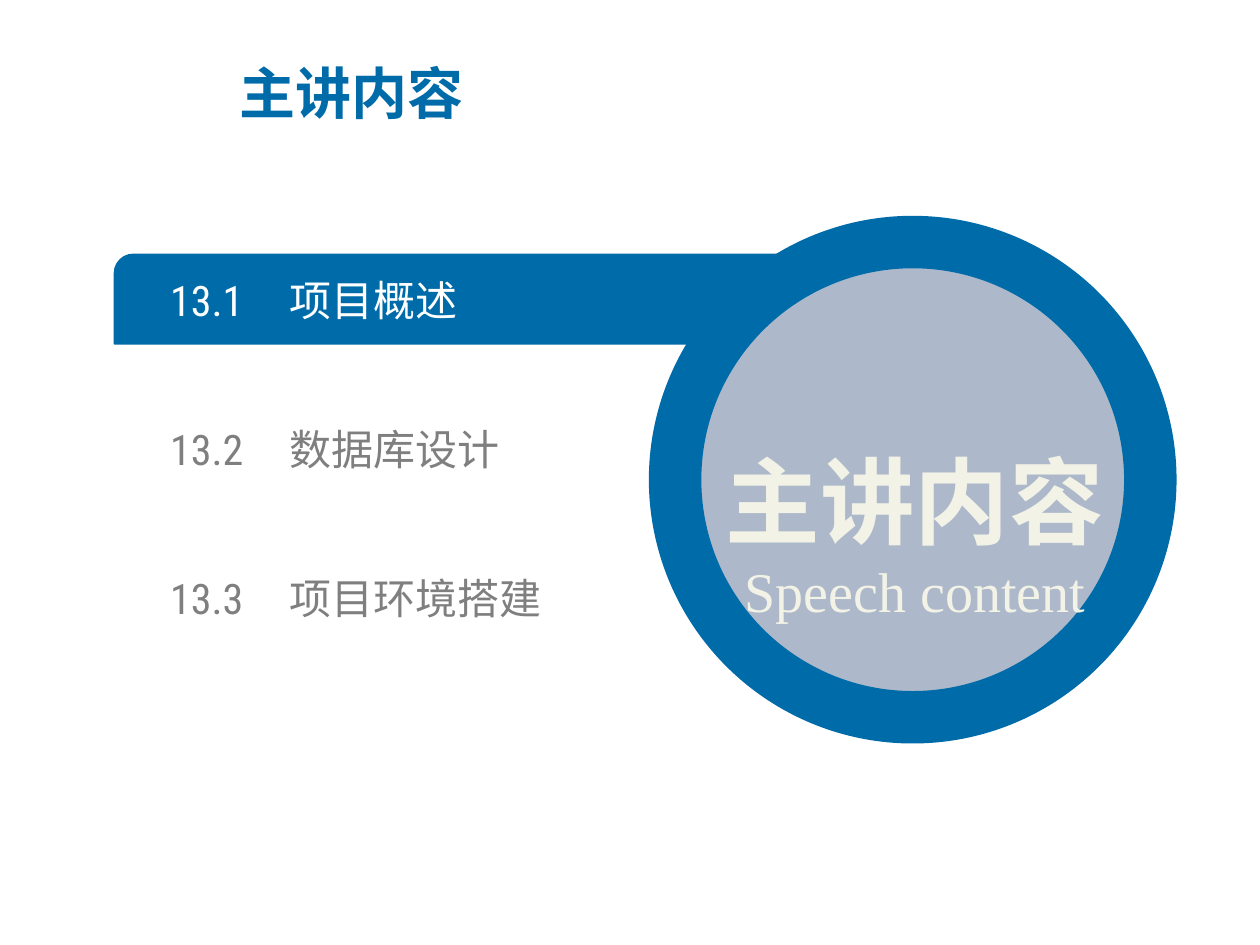
import pptx
import pptx.dml.color
import pptx.enum.shapes
import pptx.enum.text
import pptx.oxml
import pptx.oxml.ns
import pptx.util

Cm = pptx.util.Cm
Pt = pptx.util.Pt
Shapes = pptx.enum.shapes.MSO_SHAPE
Align = pptx.enum.text.PP_ALIGN

theme = {
    "blue": "006BA9",
    "disc": "ADB9CA",
    "cream": "F2F2E6",
    "white": "FFFFFF",
    "grey": "7F7F7F",
    "chinese": "Noto Sans CJK SC",
    "item": "Roboto Condensed",
    "english": "Times New Roman",
    "title_size": 32,
    "item_size": 24,
    "hero_size": 54,
}


def add_text_box(page, left, top, width, height, margin=None):
    box = page.shapes.add_textbox(Cm(left), Cm(top), Cm(width), Cm(height))
    frame = box.text_frame
    settings = {"word_wrap": True, "vertical_anchor": pptx.enum.text.MSO_ANCHOR.MIDDLE}
    if margin is not None:
        for side in ("left", "top", "right", "bottom"):
            settings[f"margin_{side}"] = Cm(margin)
    for name, value in settings.items():
        setattr(frame, name, value)
    return frame


def add_span(para, text, font, size, colour, bold=False):
    span = para.add_run()
    span.text = text
    for name, value in {"name": font, "size": Pt(size), "bold": bold}.items():
        setattr(span.font, name, value)
    span.font.color.rgb = pptx.dml.color.RGBColor.from_string(colour)
    east_asian = pptx.oxml.parse_xml(
        f'<a:ea {pptx.oxml.ns.nsdecls("a")} typeface="{theme["chinese"]}"/>'
    )
    span.font._element.append(east_asian)


deck = pptx.Presentation()
deck.slide_width = Cm(25.4)
deck.slide_height = Cm(19.05)
page = deck.slides.add_slide(deck.slide_layouts[6])

panels = [
    (Shapes.ROUND_2_DIAG_RECTANGLE, 2.31, 5.13, 15.88, 1.8, "blue", 1, (0.21, 0)),
    (Shapes.OVAL, 13.61, 4.88, 9.58, 9.58, "disc", 30, ()),
]
for kind, left, top, width, height, fill, line_width, corners in panels:
    panel = page.shapes.add_shape(kind, Cm(left), Cm(top), Cm(width), Cm(height))
    panel.shadow.inherit = False
    for index, corner in enumerate(corners):
        panel.adjustments[index] = corner
    panel.fill.solid()
    panel.fill.fore_color.rgb = pptx.dml.color.RGBColor.from_string(theme[fill])
    panel.line.color.rgb = pptx.dml.color.RGBColor.from_string(theme["blue"])
    panel.line.width = Pt(line_width)

items = [
    ("13.1", "项目概述", 12.09, "white"),
    ("13.2", "数据库设计", 11.73, "grey"),
    ("13.3", "项目环境搭建", 10.54, "grey"),
]
for row, (number, topic, width, colour) in enumerate(items):
    frame = add_text_box(page, 3.43, 5.54 + row * 3, width, 1.02, margin=0)
    para = frame.paragraphs[0]
    tabs = pptx.oxml.parse_xml(
        f'<a:tabLst {pptx.oxml.ns.nsdecls("a")}>'
        f'<a:tab pos="{Cm(2.4)}" algn="l"/></a:tabLst>'
    )
    para._p.get_or_add_pPr().append(tabs)
    add_span(para, f"{number}\t{topic}", theme["item"], theme["item_size"], theme[colour])

frame = add_text_box(page, 13.49, 7.65, 9.91, 5.08)
para = frame.paragraphs[0]
para.alignment = Align.CENTER
para.line_spacing = 1.5
add_span(para, "主讲内容", theme["chinese"], theme["hero_size"], theme["cream"], True)
para = frame.add_paragraph()
para.alignment = Align.CENTER
add_span(para, "Speech content", theme["english"], theme["title_size"], theme["cream"])

frame = add_text_box(page, 4.57, 1.09, 13.74, 1.55)
add_span(frame.paragraphs[0], "主讲内容", theme["chinese"], theme["title_size"], theme["blue"], True)

deck.save("out.pptx")
